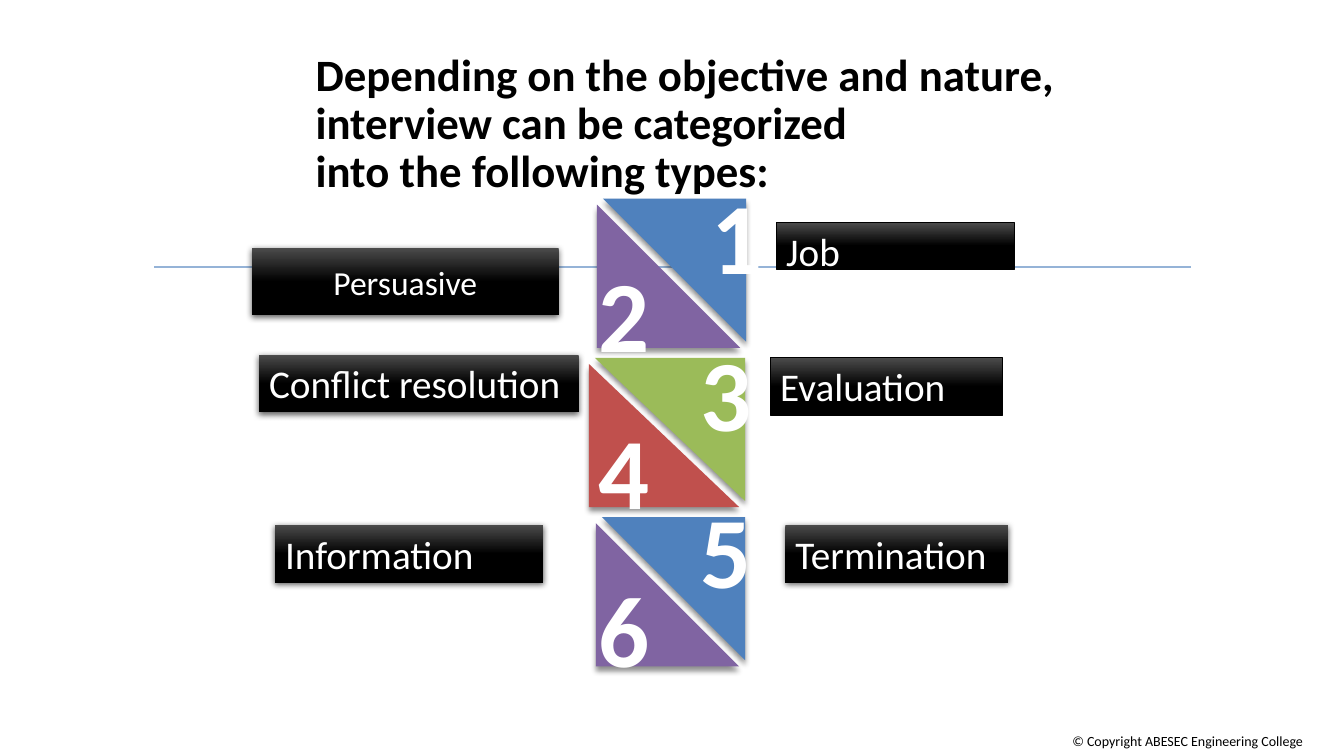
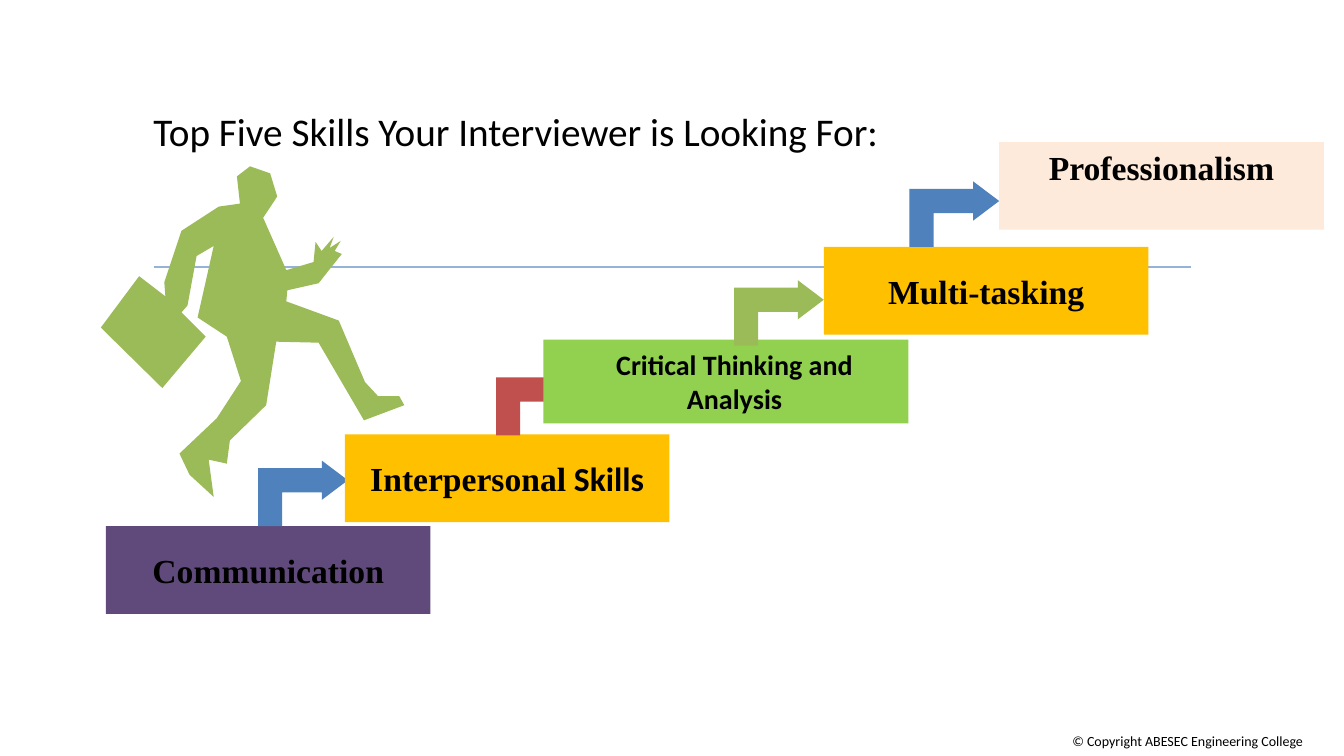
import copy

import pptx
import pptx.dml.color
import pptx.enum.shapes
import pptx.enum.text
import pptx.oxml
import pptx.oxml.ns
import pptx.util

Inches = pptx.util.Inches
Pt = pptx.util.Pt
RGBColor = pptx.dml.color.RGBColor
Shape = pptx.enum.shapes.MSO_SHAPE
Align = pptx.enum.text.PP_ALIGN
Anchor = pptx.enum.text.MSO_ANCHOR
qn = pptx.oxml.ns.qn

BLACK = RGBColor.from_string("000000")
WHITE = RGBColor.from_string("FFFFFF")
CHARCOAL = RGBColor.from_string("4B4B4B")
RULE_BLUE = RGBColor.from_string("95B3D7")
BLUE = RGBColor.from_string("4F81BD")
RED = RGBColor.from_string("C0504D")
GREEN = RGBColor.from_string("9BBB59")
PURPLE = RGBColor.from_string("8064A2")
DEEP_PURPLE = RGBColor.from_string("604A7B")
GOLD = RGBColor.from_string("FFC000")
LIME = RGBColor.from_string("92D050")
PEACH = RGBColor.from_string("FDEADA")

SANS = "Calibri"
SERIF = "Times New Roman"
FOOTER = "© Copyright ABESEC Engineering College"

TYPES_TITLE = [
    "Depending on the objective and nature, interview can be categorized",
    "into the following types:",
]
SKILLS_TITLE = ["Top Five Skills Your Interviewer is Looking For:"]

TRIANGLE_PAIRS = [
    (5.92, 1.42, PURPLE, BLUE),
    (5.84, 1.49, RED, GREEN),
    (5.91, 1.42, PURPLE, BLUE),
]
TRIANGLE_TOP = 2.03
TRIANGLE_HEIGHT = 1.42
TRIANGLE_SHIFT = 0.06
PAIR_PITCH = 1.58
TRIANGLE_SHADOW = (43, 4, 3)
LABEL_SHADOW = (63, 4.5, 1.5)

NUMBER_LEFTS = [6.94, 5.82, 6.83, 5.82, 6.83, 5.82]
NUMBER_TOP = 1.67
NUMBER_PITCH = 0.78

TYPE_LABELS = [
    ("Job", (7.7, 2.21, 2.36, 0.46), True),
    ("Evaluation", (7.64, 3.55, 2.3, 0.57), True),
    ("Conflict resolution", (2.57, 3.52, 3.17, 0.57), False),
    ("Termination", (7.79, 5.21, 2.21, 0.57), False),
    ("Information", (2.73, 5.21, 2.66, 0.57), False),
    ("Persuasive", (2.5, 2.46, 3.04, 0.67), False),
]

STEP_SIZE = (3.22, 0.87)
ARROW_SIZE = (0.65, 0.89)
ARROW_RATIOS = (0.368, 0.299, 0.397)
STEPS = [
    {"spans": [("Communication", SERIF)], "at": (1.05, 5.22),
     "fill": DEEP_PURPLE, "arrow": (2.68, 4.45, BLUE)},
    {"spans": [("Interpersonal", SERIF), (" Skills", SANS)], "at": (3.42, 4.31),
     "fill": GOLD, "arrow": (5.04, 3.55, RED)},
    {"spans": [("Critical Thinking and Analysis", SANS)], "at": (5.39, 3.37),
     "fill": LIME, "arrow": (7.4, 2.66, GREEN),
     "size": (3.62, 0.83), "points": 20, "sides": (0.24, 0.07)},
    {"spans": [("Multi-tasking", SERIF)], "at": (8.17, 2.45),
     "fill": GOLD, "arrow": (9.14, 1.68, BLUE)},
    {"spans": [("Professionalism", SERIF)], "at": (9.91, 1.41),
     "fill": PEACH, "anchor": Anchor.TOP},
]

RUNNER = [
    (100, 325), (161, 385), (204, 334), (180, 310), (186, 303), (195, 254), (212, 244),
    (196, 315), (225, 334), (239, 378), (215, 415), (178, 450), (188, 471), (212, 493),
    (207, 456), (225, 460), (228, 437), (264, 402), (274, 339), (316, 340), (361, 417),
    (401, 402), (396, 393), (375, 393), (362, 379), (336, 318), (284, 299), (285, 288),
    (316, 281), (339, 252), (332, 249), (338, 239), (327, 246), (331, 235), (319, 249),
    (313, 240), (311, 260), (284, 268), (261, 216), (275, 195), (268, 172), (248, 165),
    (235, 175), (238, 202), (217, 205), (180, 229), (163, 280), (164, 294), (138, 274),
]


def place(shape, at):
    shape.left, shape.top, shape.width, shape.height = (Inches(value) for value in at)


def add_span(para, text, size, color, font=SANS, bold=False):
    span = para.add_run()
    span.text = text
    span.font.size = Pt(size)
    span.font.name = font
    span.font.bold = bold
    span.font.color.rgb = color


def paint(shape, color):
    shape.shadow.inherit = False
    shape.line.fill.background()
    shape.fill.solid()
    shape.fill.fore_color.rgb = color


def add_block(page, kind, at, color):
    block = page.shapes.add_shape(kind, *(Inches(value) for value in at))
    paint(block, color)
    return block


def add_textbox(page, at):
    box = page.shapes.add_textbox(*(Inches(value) for value in at))
    box.text_frame.word_wrap = True
    return box


def cast_shadow(shape, opacity, blur, distance):
    effects = shape.element.spPr.find(qn("a:effectLst"))
    effects.append(pptx.oxml.parse_xml(
        f'<a:outerShdw {pptx.oxml.ns.nsdecls("a")} blurRad="{Pt(blur)}" dist="{Pt(distance)}" '
        f'dir="5400000" rotWithShape="0"><a:srgbClr val="000000">'
        f'<a:alpha val="{opacity * 1000}"/></a:srgbClr></a:outerShdw>'))


def fill_glossy(shape):
    shape.fill.gradient()
    shape.fill.gradient_angle = 270
    top, middle = shape.fill.gradient_stops
    top.position, middle.position = 0, 0.5
    top.color.rgb, middle.color.rgb = CHARCOAL, BLACK
    stops = shape.element.spPr.find(".//" + qn("a:gsLst"))
    stops.append(copy.deepcopy(stops[-1]))
    shape.fill.gradient_stops[2].position = 1


def add_shared_parts(page):
    footer = add_textbox(page, (0.02, 7.22, 13, 0.27))
    para = footer.text_frame.paragraphs[0]
    para.alignment = Align.RIGHT
    add_span(para, FOOTER, 10, BLACK)
    rule = page.shapes.add_connector(
        pptx.enum.shapes.MSO_CONNECTOR.STRAIGHT,
        Inches(1.53), Inches(2.65), Inches(11.81), Inches(2.65))
    rule.line.color.rgb = RULE_BLUE
    rule.line.width = Pt(1)
    rule.element.spPr.append(pptx.oxml.parse_xml(
        f'<a:effectLst {pptx.oxml.ns.nsdecls("a")}/>'))
    for shape in (footer, rule):
        page.slide_layout.shapes.element.append(shape.element)


def set_title(page, lines, at, size, bold):
    title = page.shapes.title
    place(title, at)
    frame = title.text_frame
    frame.word_wrap = True
    frame.auto_size = pptx.enum.text.MSO_AUTO_SIZE.NONE
    frame.vertical_anchor = Anchor.TOP
    para = frame.paragraphs[0]
    para.alignment = Align.LEFT
    para.line_spacing = 0.9
    for index, line in enumerate(lines):
        if index:
            para.add_line_break()
        add_span(para, line, size, BLACK, bold=bold)


def build_types(page):
    set_title(page, TYPES_TITLE, (3.03, 0.47, 8.89, 2.03), 32, True)
    for row, (left, width, lower_color, upper_color) in enumerate(TRIANGLE_PAIRS):
        top = TRIANGLE_TOP + row * PAIR_PITCH
        for shift, turn, color in ((0, 0, lower_color), (TRIANGLE_SHIFT, 180, upper_color)):
            triangle = add_block(page, Shape.RIGHT_TRIANGLE,
                                 (left + shift, top - shift, width, TRIANGLE_HEIGHT), color)
            triangle.rotation = turn
            cast_shadow(triangle, *TRIANGLE_SHADOW)
    for index, left in enumerate(NUMBER_LEFTS):
        box = add_textbox(page, (left, NUMBER_TOP + index * NUMBER_PITCH, 0.67, 1.31))
        box.text_frame.margin_left = box.text_frame.margin_right = Inches(0.12)
        para = box.text_frame.paragraphs[0]
        para.alignment = Align.CENTER
        add_span(para, str(index + 1), 72, WHITE, bold=True)
    for text, at, outlined in TYPE_LABELS:
        centred = text == "Persuasive"
        kind = Shape.FLOWCHART_PROCESS if centred else Shape.RECTANGLE
        label = add_block(page, kind, at, BLACK)
        fill_glossy(label)
        if outlined:
            label.line.color.rgb = BLACK
            label.line.width = Pt(0.5)
        else:
            cast_shadow(label, *LABEL_SHADOW)
        label.text_frame.word_wrap = True
        label.text_frame.vertical_anchor = Anchor.MIDDLE if centred else Anchor.TOP
        para = label.text_frame.paragraphs[0]
        para.alignment = Align.CENTER if centred else Align.LEFT
        add_span(para, text, 24 if centred else 28, WHITE)


def build_skills(page):
    set_title(page, SKILLS_TITLE, (1.42, 1.07, 10.5, 1.43), 28, False)
    for step in STEPS:
        at = step["at"] + step.get("size", STEP_SIZE)
        block = add_block(page, Shape.RECTANGLE, at, step["fill"])
        frame = block.text_frame
        frame.word_wrap = True
        frame.vertical_anchor = step.get("anchor", Anchor.MIDDLE)
        frame.margin_left, frame.margin_right = map(Inches, step.get("sides", (0.1, 0.1)))
        para = frame.paragraphs[0]
        para.alignment = Align.CENTER
        for text, font in step["spans"]:
            add_span(para, text, step.get("points", 24), BLACK, font, True)
        if "arrow" in step:
            left, top, color = step["arrow"]
            arrow = add_block(page, Shape.BENT_UP_ARROW, (left, top) + ARROW_SIZE, color)
            arrow.rotation = 270
            arrow.element.spPr.find(qn("a:xfrm")).set("flipV", "1")
            for index, ratio in enumerate(ARROW_RATIOS):
                arrow.adjustments[index] = ratio
    outline = page.shapes.build_freeform(*RUNNER[0], scale=Inches(0.01))
    outline.add_line_segments(RUNNER[1:], close=True)
    paint(outline.convert_to_shape(), GREEN)


def main():
    deck = pptx.Presentation()
    deck.slide_width, deck.slide_height = Inches(13.33), Inches(7.5)
    title_only = deck.slide_layouts[5]
    pages = [deck.slides.add_slide(title_only) for _ in range(2)]
    add_shared_parts(pages[0])
    build_types(pages[0])
    build_skills(pages[1])
    deck.save("out.pptx")


if __name__ == "__main__":
    main()
